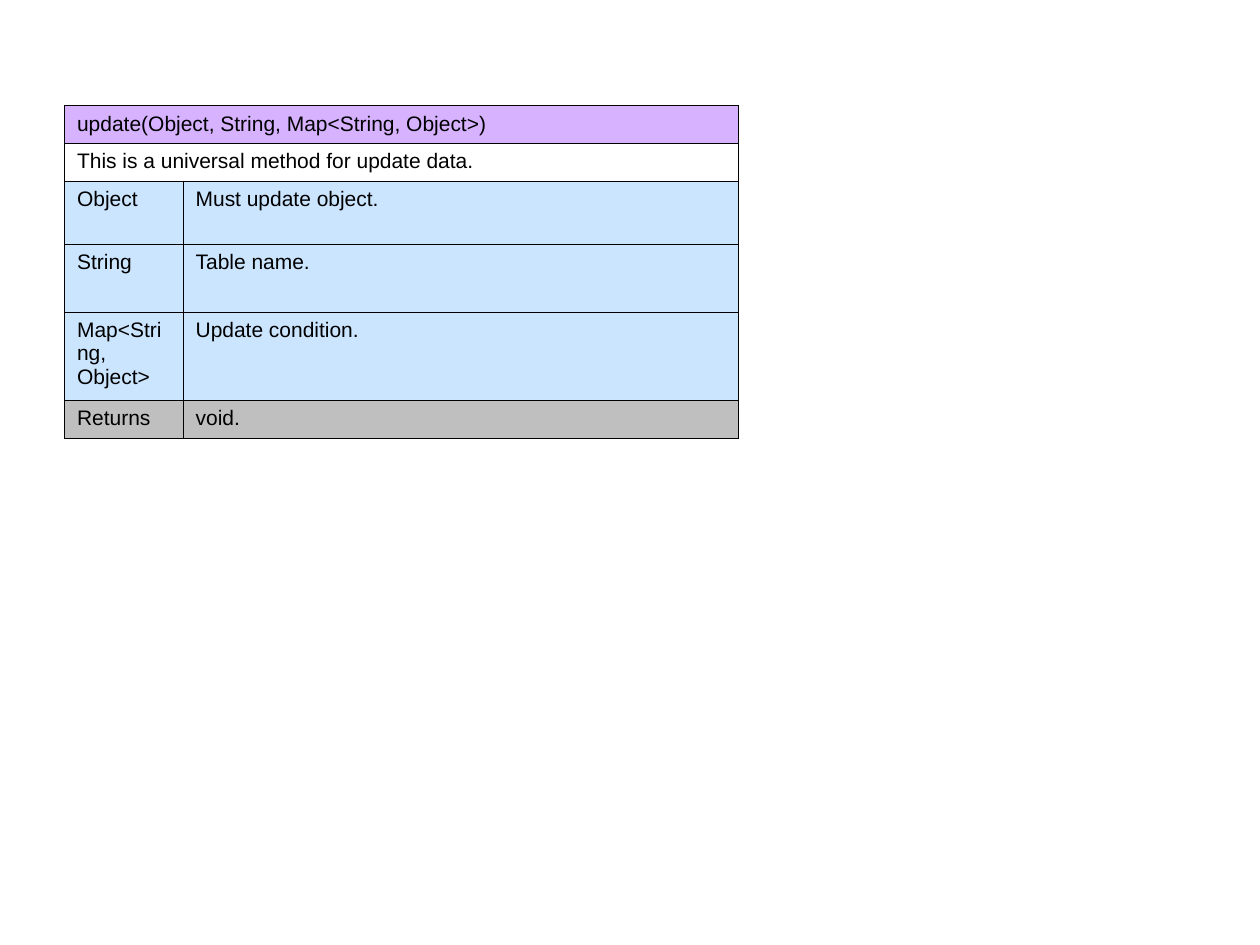
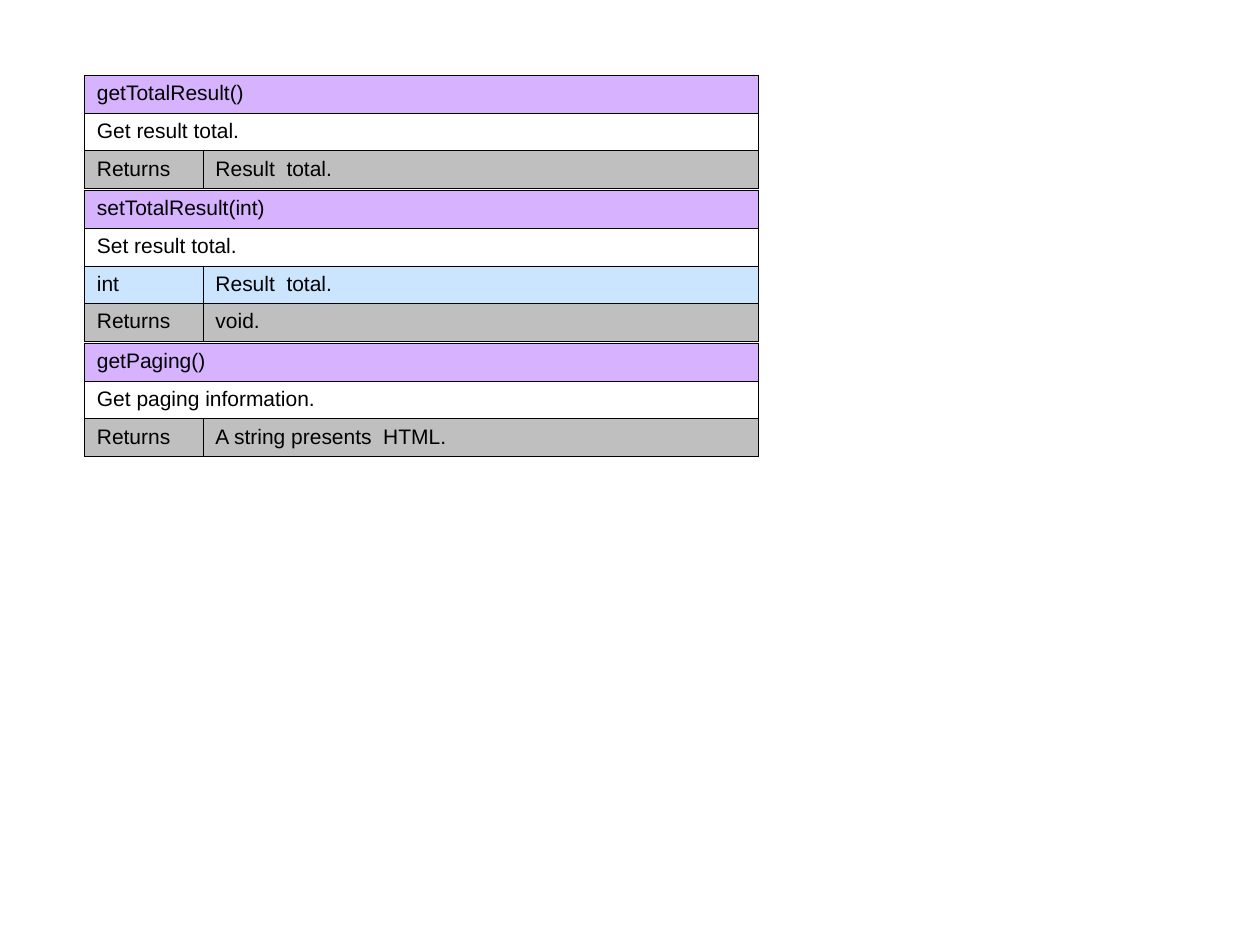
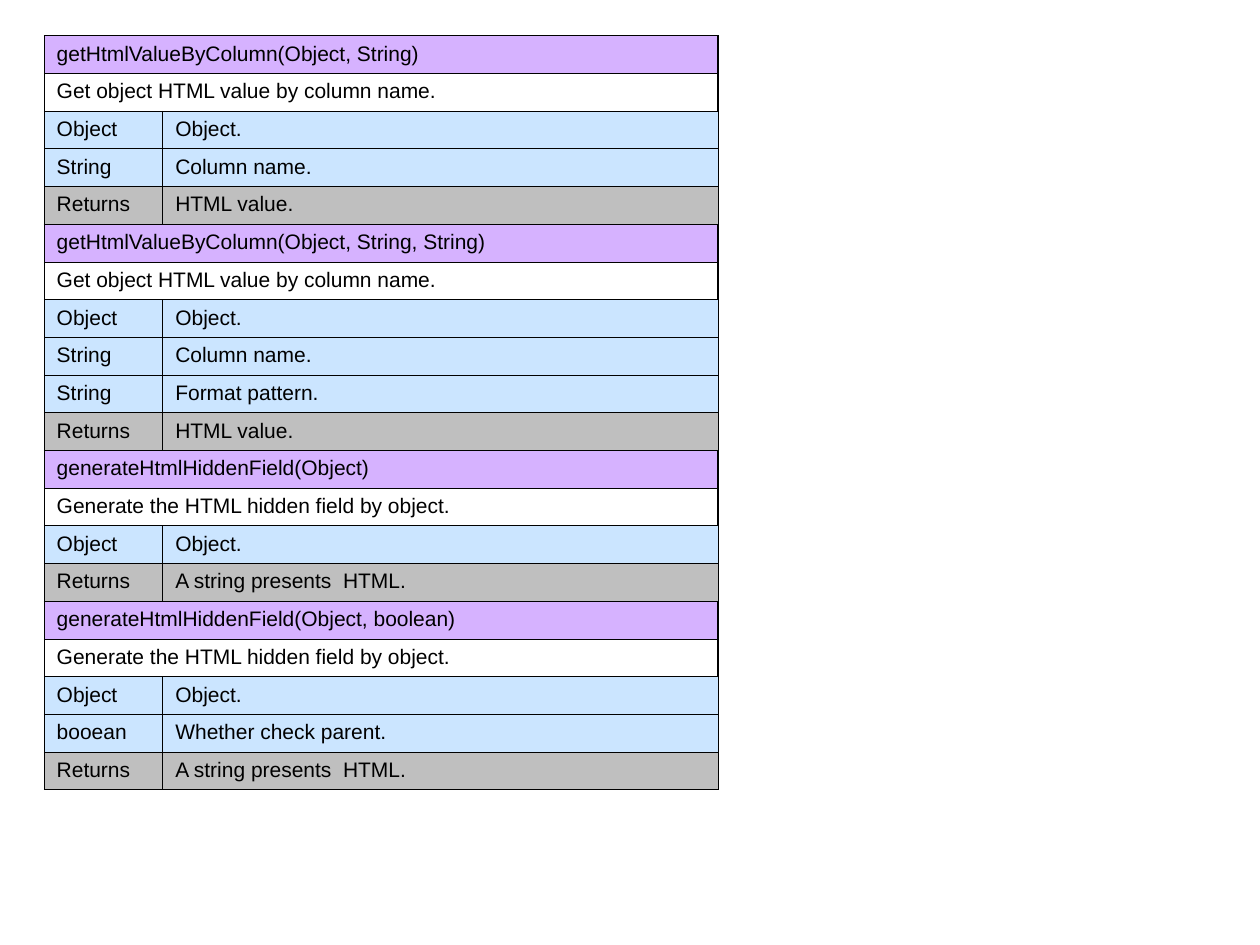
from lxml import etree
from pptx import Presentation
from pptx import util as u
from pptx.dml.color import RGBColor
from pptx.oxml.ns import qn

FONT = "Arial"
INK = "000000"
PURPLE, BLUE, GREY = "AF67FF", "99CCFF", "808080"
THIN, THICK = 0.45, 1.08
COLUMNS = (2.39, 11.2)
ROW = 0.76
NO_STYLE = "{2D5ABB26-0587-4C30-8999-92F81FD0307C}"

SLIDES = [
    {"left": 1.3, "top": 2.13, "gap": 0, "methods": [
        {"name": "update(Object, String, Map<String, Object>)",
         "about": "This is a universal method for update data.",
         "inputs": [("Object", "Must update object."),
                    ("String", "Table name."),
                    ("Map<String, Object>", "Update condition.")],
         "input_heights": (1.27, 1.37, 1.78),
         "returns": "void."},
    ]},
    {"left": 1.7, "top": 1.52, "gap": 0.04, "methods": [
        {"name": "getTotalResult()",
         "about": "Get result total.",
         "inputs": [],
         "returns": "Result  total."},
        {"name": "setTotalResult(int)",
         "about": "Set result total.",
         "inputs": [("int", "Result  total.")],
         "returns": "void."},
        {"name": "getPaging()",
         "about": "Get paging information.",
         "inputs": [],
         "returns": "A string presents  HTML."},
    ]},
    {"left": 0.89, "top": 0.72, "gap": 0, "methods": [
        {"name": "getHtmlValueByColumn(Object, String)",
         "about": "Get object HTML value by column name.",
         "inputs": [("Object", "Object."), ("String", "Column name.")],
         "returns": "HTML value."},
        {"name": "getHtmlValueByColumn(Object, String, String)",
         "about": "Get object HTML value by column name.",
         "inputs": [("Object", "Object."), ("String", "Column name."),
                    ("String", "Format pattern.")],
         "returns": "HTML value."},
        {"name": "generateHtmlHiddenField(Object)",
         "about": "Generate the HTML hidden field by object.",
         "inputs": [("Object", "Object.")],
         "returns": "A string presents  HTML."},
        {"name": "generateHtmlHiddenField(Object, boolean)",
         "about": "Generate the HTML hidden field by object.",
         "inputs": [("Object", "Object."), ("booean", "Whether check parent.")],
         "returns": "A string presents  HTML."},
    ]},
]


def paint(color, value):
    color.rgb = RGBColor.from_string(value)


def fill_cell(cell, value):
    if value is None:
        cell.fill.background()
        return
    cell.fill.solid()
    paint(cell.fill.fore_color, value)
    for color in cell._tc.tcPr.iter(qn("a:srgbClr")):
        etree.SubElement(color, qn("a:alpha"), val="50000")


def border_cell(cell, right):
    properties = cell._tc.get_or_add_tcPr()
    for place, side in enumerate("LRTB"):
        width = right if side == "R" else THIN
        line = etree.Element(qn(f"a:ln{side}"), w=str(int(u.Pt(width))))
        solid = etree.SubElement(line, qn("a:solidFill"))
        etree.SubElement(solid, qn("a:srgbClr"), val=INK)
        properties.insert(place, line)


def write_cell(cell, words):
    para = cell.text_frame.paragraphs[0]
    para.text = words
    para.space_before = u.Pt(3)
    para.font.name = FONT
    para.font.size = u.Pt(12)
    paint(para.font.color, INK)


def add_method(page, method, left, top):
    rows = [((method["name"],), PURPLE), ((method["about"],), None)]
    rows += [(pair, BLUE) for pair in method["inputs"]]
    rows.append((("Returns", method["returns"]), GREY))
    input_heights = method.get("input_heights", [ROW] * len(method["inputs"]))
    heights = [ROW, ROW, *input_heights, ROW]

    frame = page.shapes.add_table(len(rows), len(COLUMNS), u.Cm(left), u.Cm(top),
                                  u.Cm(sum(COLUMNS)), u.Cm(sum(heights)))
    table = frame.table
    table.first_row = table.horz_banding = False
    table._tbl.tblPr.find(qn("a:tableStyleId")).text = NO_STYLE
    for column, width in zip(table.columns, COLUMNS):
        column.width = u.Cm(width)
    for index, ((texts, color), height) in enumerate(zip(rows, heights)):
        row = table.rows[index]
        row.height = u.Cm(height)
        spans = len(texts) == 1
        if spans:
            table.cell(index, 0).merge(table.cell(index, 1))
        for cell in row.cells:
            fill_cell(cell, color)
            border_cell(cell, THICK if spans else THIN)
        for cell, words in zip(row.cells, texts):
            write_cell(cell, words)
    return sum(heights)


def main():
    deck = Presentation()
    deck.slide_width, deck.slide_height = u.Cm(25.4), u.Cm(19.05)
    for content in SLIDES:
        page = deck.slides.add_slide(deck.slide_layouts[6])
        top = content["top"]
        for method in content["methods"]:
            top += add_method(page, method, content["left"], top) + content["gap"]
    deck.save("out.pptx")


if __name__ == "__main__":
    main()
